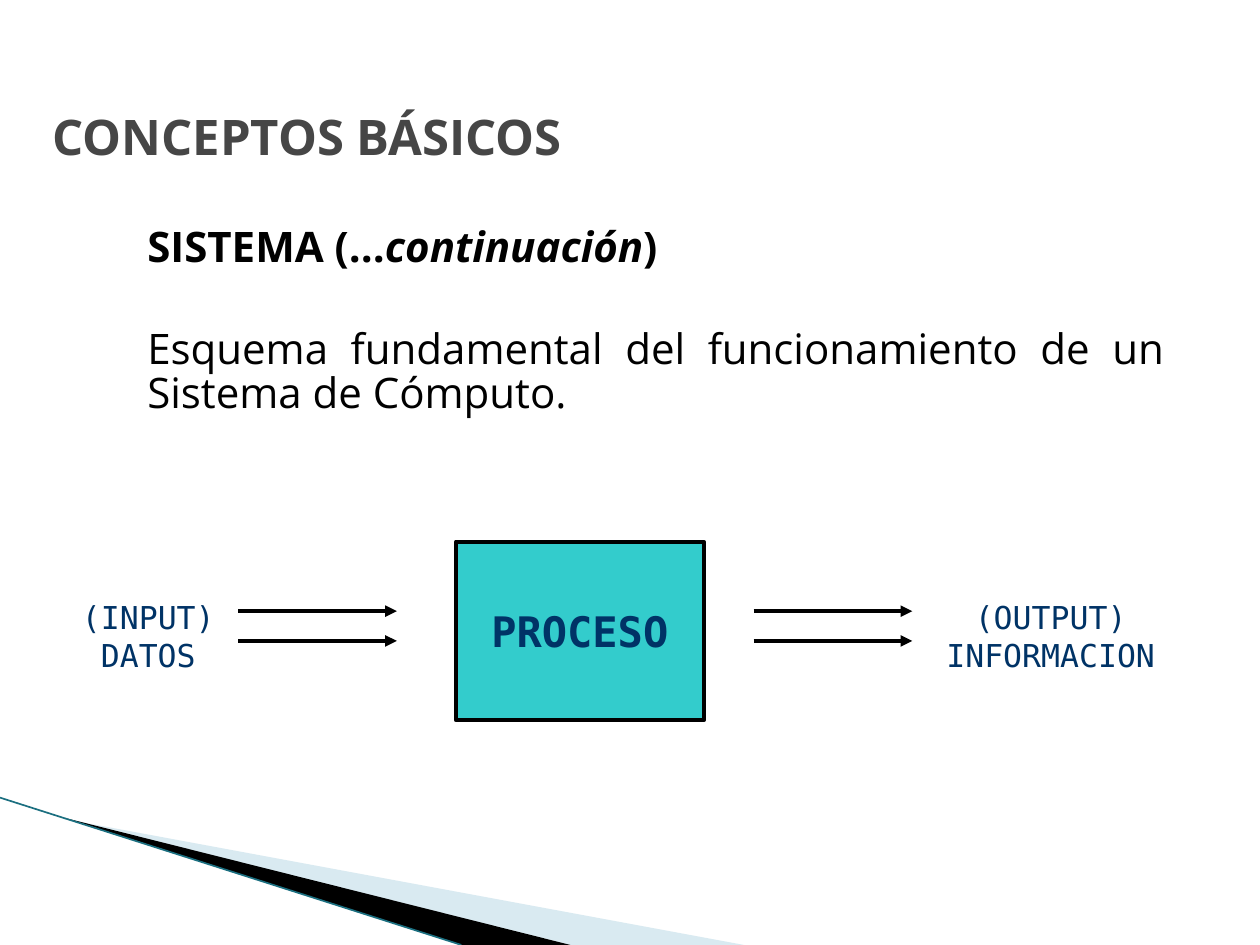
from dataclasses import dataclass

from lxml import etree
from pptx import Presentation
from pptx.dml.color import RGBColor
from pptx.enum.shapes import MSO_CONNECTOR, MSO_SHAPE
from pptx.enum.text import MSO_ANCHOR, PP_ALIGN
from pptx.oxml.ns import qn
from pptx.util import Cm, Pt

LEFT, CENTER, JUSTIFY = PP_ALIGN.LEFT, PP_ALIGN.CENTER, PP_ALIGN.JUSTIFY
TOP, MIDDLE, BOTTOM = MSO_ANCHOR.TOP, MSO_ANCHOR.MIDDLE, MSO_ANCHOR.BOTTOM
RECTANGLE = MSO_SHAPE.RECTANGLE
STRAIGHT = MSO_CONNECTOR.STRAIGHT


@dataclass(frozen=True)
class Theme:
    heading_font: str = "Open Sans"
    diagram_font: str = "DejaVu Sans Mono"
    black: str = "000000"
    title: str = "464646"
    diagram_text: str = "003366"
    process: str = "33CCCC"
    pale_wedge: str = "A0CBDC"
    edge: str = "1B6F80"
    title_size: int = 28
    body_size: int = 24
    label_size: int = 18
    stroke: float = 2.25


@dataclass(frozen=True)
class Box:
    """A region in centimetres."""
    left: float
    top: float
    width: float
    height: float

    def inner(self, left, top, width, height):
        return Box(self.left + left, self.top + top, width, height)

    def lengths(self):
        return [Cm(v) for v in (self.left, self.top, self.width, self.height)]


THEME = Theme()


def style(paragraph, font_name, size, color, bold=False, alignment=LEFT):
    font = paragraph.font
    font.name, font.size, font.bold = font_name, Pt(size), bold
    font.color.rgb = RGBColor.from_string(color)
    paragraph.alignment = alignment


def add_text_frame(slide, box, anchor=TOP):
    frame = slide.shapes.add_textbox(*box.lengths()).text_frame
    frame.word_wrap = True
    frame.vertical_anchor = anchor
    return frame


def add_line(slide, start, end, color, width):
    line = slide.shapes.add_connector(STRAIGHT, *map(Cm, start + end))
    line.line.color.rgb = RGBColor.from_string(color)
    line.line.width = Pt(width)
    etree.SubElement(line._element.spPr, qn("a:effectLst"))
    return line


def add_arrow(slide, start, end):
    arrow = add_line(slide, start, end, THEME.black, THEME.stroke)
    etree.SubElement(arrow.line._get_or_add_ln(), qn("a:tailEnd"), type="triangle")


def add_wedge(slide, points, color, opacity=100):
    first, *others = [(Cm(x), Cm(y)) for x, y in points]
    builder = slide.shapes.build_freeform(*first)
    builder.add_line_segments(others)
    wedge = builder.convert_to_shape()
    wedge.shadow.inherit = False
    wedge.line.fill.background()
    wedge.fill.solid()
    wedge.fill.fore_color.rgb = RGBColor.from_string(color)
    if opacity < 100:
        color_element = wedge._element.spPr.find(f"{qn('a:solidFill')}/{qn('a:srgbClr')}")
        etree.SubElement(color_element, qn("a:alpha"), val=str(opacity * 1000))


def add_corner(slide, box):
    """Draw the two wedges and the edge line rising to the left."""
    bottom = box.top + box.height

    def wedge_points(tip_x, tip_y, right, left):
        return [(box.left + tip_x, box.top + tip_y),
                (box.left + right, bottom), (box.left + left, bottom)]

    add_wedge(slide, wedge_points(1.4, 0.45, 15, 11.5), THEME.pale_wedge, 40)
    add_wedge(slide, wedge_points(1.35, 0.42, 11.5, 9.3), THEME.black)
    add_line(slide, (box.left, box.top), (box.left + 9.3, bottom), THEME.edge, 0.95)


def add_title(slide, box):
    frame = add_text_frame(slide, box, BOTTOM)
    frame.margin_bottom = 0
    frame.text = "CONCEPTOS BÁSICOS"
    style(frame.paragraphs[0], THEME.heading_font, THEME.title_size, THEME.title, True)


def add_body(slide, box):
    frame = add_text_frame(slide, box)
    heading = frame.paragraphs[0]
    for text, italic in (("SISTEMA (...", False), ("continuación", True), (")", False)):
        run = heading.add_run()
        run.text = text
        run.font.italic = italic
    description = frame.add_paragraph()
    description.text = "Esquema fundamental del funcionamiento de un Sistema de Cómputo."
    for paragraph, bold, alignment, space in ((heading, True, LEFT, 3),
                                              (description, False, JUSTIFY, 33)):
        style(paragraph, THEME.heading_font, THEME.body_size, THEME.black, bold, alignment)
        paragraph.line_spacing = 0.88
        paragraph.space_before = Pt(space)


def add_process(slide, box):
    process = slide.shapes.add_shape(RECTANGLE, *box.lengths())
    process.shadow.inherit = False
    process.fill.solid()
    process.fill.fore_color.rgb = RGBColor.from_string(THEME.process)
    process.line.color.rgb = RGBColor.from_string(THEME.black)
    process.line.width = Pt(THEME.stroke)
    frame = process.text_frame
    frame.word_wrap = False
    frame.vertical_anchor = MIDDLE
    frame.text = "PROCESO"
    style(frame.paragraphs[0], THEME.diagram_font, THEME.body_size,
          THEME.diagram_text, True, CENTER)


def add_diagram(slide, box):
    """Draw input, process and output, with a pair of arrows in each gap."""
    add_process(slide, box.inner(8.4, 0, 5, box.height))
    for left in (4.01, 14.4):
        for top in (1.4, 2):
            x, y = box.left + left, box.top + top
            add_arrow(slide, (x, y), (x + 3.2, y))
    for text, left, width in (("(INPUT) DATOS", 0, 4.4),
                              ("(OUTPUT) INFORMACION", 17.7, 5.38)):
        frame = add_text_frame(slide, box.inner(left, 1.02, width, 1.78))
        frame.text = text
        style(frame.paragraphs[0], THEME.diagram_font, THEME.label_size,
              THEME.diagram_text, alignment=CENTER)


def main():
    presentation = Presentation()
    presentation.slide_width, presentation.slide_height = Cm(25.4), Cm(19.05)
    slide = presentation.slides.add_slide(presentation.slide_layouts[6])
    add_corner(slide, Box(0, 16.08, 15, 2.97))
    add_title(slide, Box(0.81, 1.73, 22.89, 1.6))
    add_body(slide, Box(2.72, 4.45, 21, 5.82))
    add_diagram(slide, Box(0.79, 10.92, 23.08, 3.6))
    presentation.save("out.pptx")


if __name__ == "__main__":
    main()
